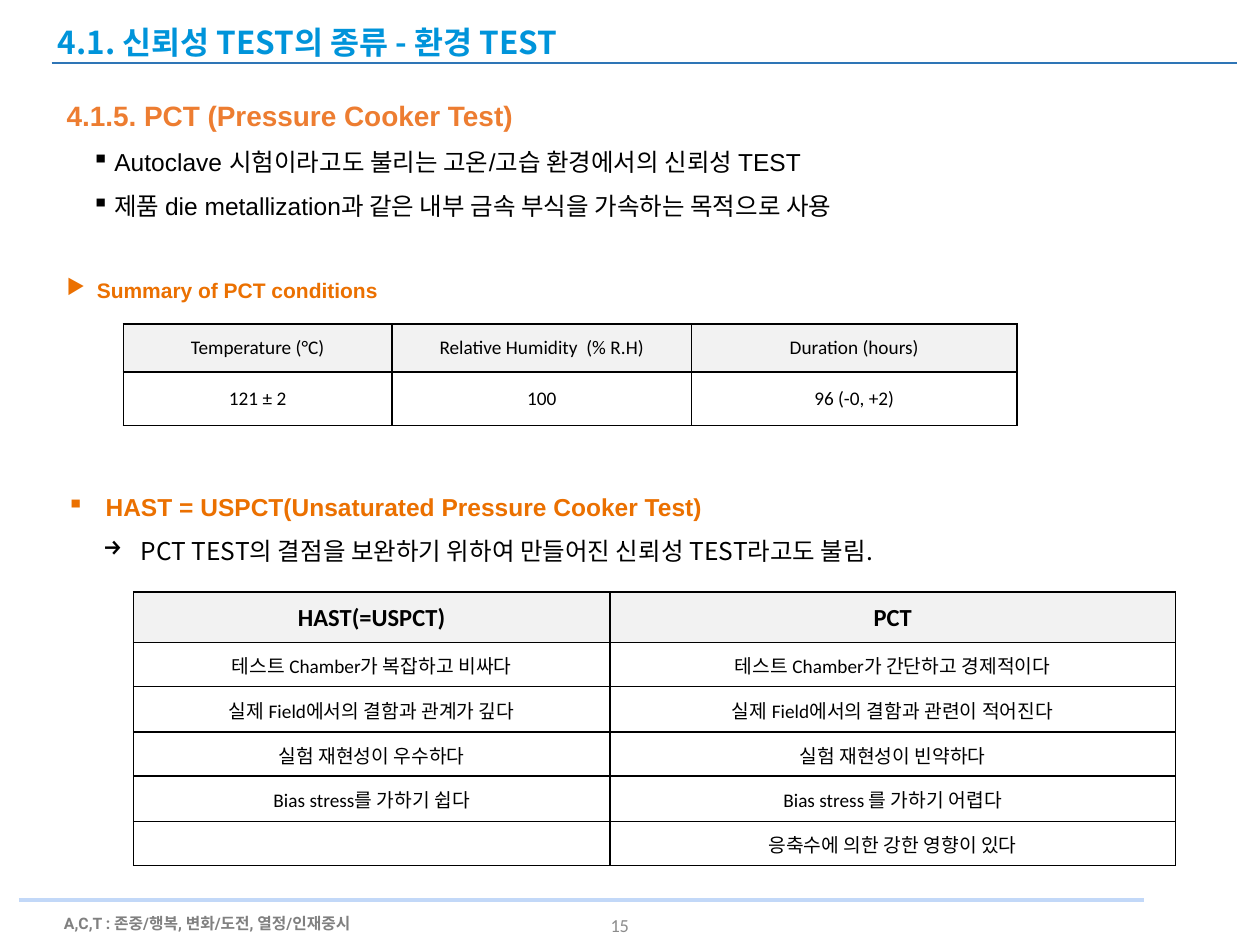
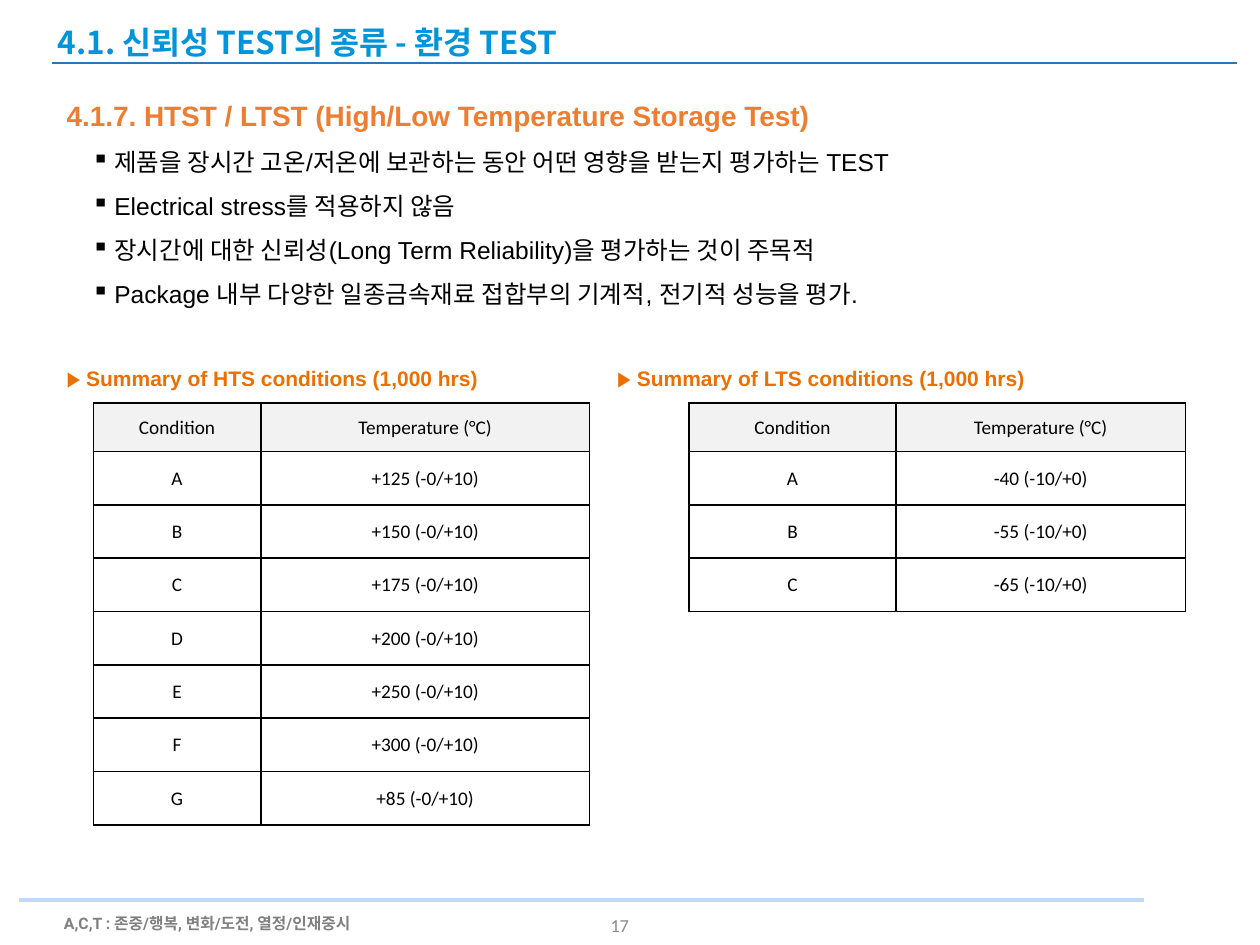
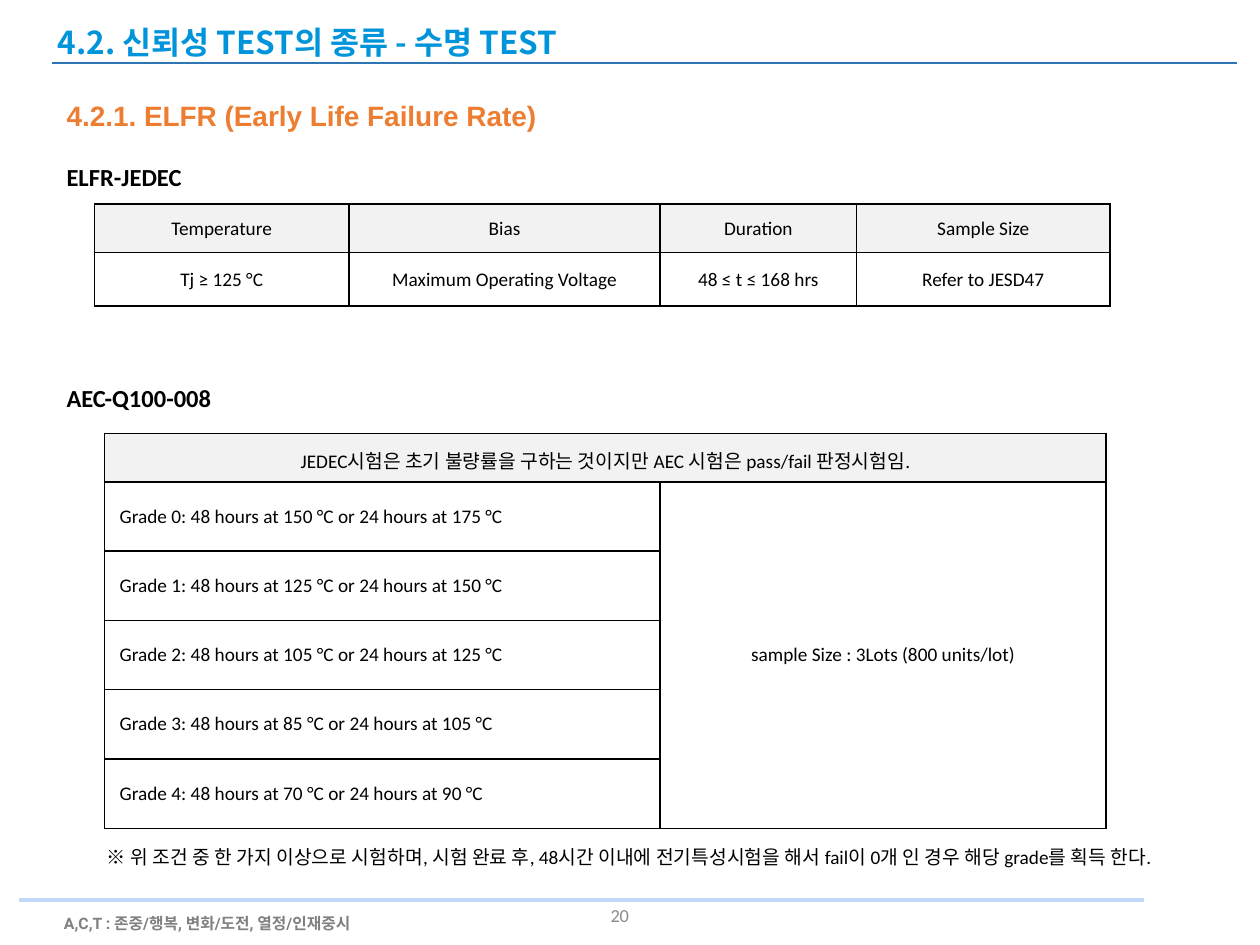
"""Builds three slides on semiconductor reliability tests."""
from dataclasses import dataclass

from lxml.etree import SubElement
from pptx import Presentation
from pptx.dml.color import RGBColor
from pptx.enum.shapes import MSO_CONNECTOR
from pptx.enum.text import MSO_ANCHOR, PP_ALIGN
from pptx.oxml.ns import qn
from pptx.slide import Slide
from pptx.table import _Cell
from pptx.text.text import _Paragraph
from pptx.util import Emu, Pt

EMU_PER_PX = 9144

BLACK = RGBColor(0x00, 0x00, 0x00)
WHITE = RGBColor(0xFF, 0xFF, 0xFF)
HEADER_GREY = RGBColor(0xF2, 0xF2, 0xF2)
TITLE_BLUE = RGBColor(0x00, 0x94, 0xDA)
RULE_BLUE = RGBColor(0x2E, 0x75, 0xB6)
BAND_BLUE = RGBColor(0xC2, 0xD8, 0xF8)
FOOTER_GREY = RGBColor(0x80, 0x80, 0x80)
NUMBER_GREY = RGBColor(0x8C, 0x8C, 0x8C)
HEADING_ORANGE = RGBColor(0xED, 0x7D, 0x31)
SUMMARY_ORANGE = RGBColor(0xEB, 0x70, 0x00)

SANS, TABLE_SANS, KOREAN_SANS = "Arial", "Calibri", "Noto Sans CJK KR"
FOOTER = "A,C,T : 존중/행복, 변화/도전, 열정/인재중시"


@dataclass(frozen=True)
class Style:
    """Font, paragraph spacing and bullet of a paragraph."""
    font: str
    size: float
    color: RGBColor = BLACK
    bold: bool = False
    spacing: float = 1.0
    align: PP_ALIGN = PP_ALIGN.LEFT
    bullet: str = ""
    margin: int = 0
    hanging: int = 0


@dataclass(frozen=True)
class TextBlock:
    """A text box with one style for each paragraph."""
    left: int
    top: int
    width: int
    height: int
    lines: tuple[tuple[str, Style], ...]
    anchor: MSO_ANCHOR = MSO_ANCHOR.TOP


TITLE = Style(KOREAN_SANS, 18, TITLE_BLUE, bold=True)
FOOTER_STYLE = Style("Roboto", 9, FOOTER_GREY, bold=True)
PAGE_NUMBER = Style(TABLE_SANS, 10.5, NUMBER_GREY, align=PP_ALIGN.RIGHT)
HEADING = Style(SANS, 16, HEADING_ORANGE, bold=True, spacing=1.5)
BULLET = Style(SANS, 14, spacing=1.5, bullet="▪", margin=38, hanging=18)
SUMMARY = Style(SANS, 12, SUMMARY_ORANGE, bold=True, spacing=1.5)
SUMMARY_BULLET = Style(SANS, 12, SUMMARY_ORANGE, bold=True, spacing=1.5,
                       bullet="▶", margin=24, hanging=24)
HAST = Style(SANS, 14, SUMMARY_ORANGE, bold=True, spacing=1.5,
             bullet="▪", margin=31, hanging=31)
HAST_DETAIL = Style(KOREAN_SANS, 14, spacing=1.5, bullet="→", margin=59, hanging=30)
STANDARD = Style(TABLE_SANS, 14, bold=True)
NOTE = Style(TABLE_SANS, 11)
CELL = Style(TABLE_SANS, 11, align=PP_ALIGN.CENTER)
BOLD_HEADER = Style(TABLE_SANS, 14, bold=True, align=PP_ALIGN.CENTER)

HEADER_INSETS = (3, 10, 3, 10)
BODY_INSETS = (12, 12, 12, 12)
TIGHT_INSETS = (1, 1, 1, 0)


@dataclass(frozen=True)
class Grid:
    """A ruled table with a grey header row."""
    left: int
    top: int
    columns: tuple[int, ...]
    heights: tuple[int, ...]
    rows: tuple[tuple[str, ...], ...]
    header: Style = CELL
    first_column: Style = CELL
    header_insets: tuple[int, ...] = HEADER_INSETS
    body_insets: tuple[int, ...] = BODY_INSETS
    merges: tuple[tuple[int, int, int, int], ...] = ()


@dataclass(frozen=True)
class Page:
    """Everything that differs between the slides."""
    title: str
    number: int
    heading: str
    bullets: tuple[str, ...]
    blocks: tuple[TextBlock, ...]
    grids: tuple[Grid, ...]
    number_top: int = 714


def px(length: int) -> Emu:
    """Turn px into EMU."""
    return Emu(length * EMU_PER_PX)


def one_line(left: int, top: int, width: int, height: int, text: str,
             style: Style) -> TextBlock:
    """Describe a text box holding a single paragraph."""
    return TextBlock(left, top, width, height, ((text, style),))


def write(para: _Paragraph, text: str, style: Style) -> None:
    """Fill a paragraph and apply its style."""
    if text:
        para.add_run().text = text
    para.alignment = style.align
    para.line_spacing = style.spacing
    if style.bullet:
        properties = para._p.get_or_add_pPr()
        properties.set("marL", str(px(style.margin)))
        properties.set("indent", str(-px(style.hanging)))
        SubElement(properties, qn("a:buChar")).set("char", style.bullet)
    para.font.name = style.font
    para.font.size = Pt(style.size)
    para.font.bold = style.bold
    para.font.color.rgb = style.color


def draw_text(page: Slide, block: TextBlock) -> None:
    """Draw a text box."""
    box = page.shapes.add_textbox(px(block.left), px(block.top),
                                  px(block.width), px(block.height))
    frame = box.text_frame
    frame.word_wrap = True
    frame.vertical_anchor = block.anchor
    for index, (text, style) in enumerate(block.lines):
        para = frame.add_paragraph() if index else frame.paragraphs[0]
        write(para, text, style)


def draw_rule(page: Slide, left: int, right: int, top: int, color: RGBColor,
              width: float) -> None:
    """Draw a horizontal line."""
    rule = page.shapes.add_connector(MSO_CONNECTOR.STRAIGHT, px(left), px(top),
                                     px(right), px(top))
    rule.line.color.rgb = color
    rule.line.width = Pt(width)
    SubElement(rule._element.spPr, qn("a:effectLst"))


def add_borders(cell: _Cell) -> None:
    """Rule all four sides of a cell in black."""
    properties = cell._tc.get_or_add_tcPr()
    for side in ("lnL", "lnR", "lnT", "lnB"):
        line = SubElement(properties, qn(f"a:{side}"), w=str(Pt(1)))
        fill = SubElement(line, qn("a:solidFill"))
        SubElement(fill, qn("a:srgbClr"), val=str(BLACK))


def draw_cell(cell: _Cell, text: str, style: Style, insets: tuple[int, ...],
              fill: RGBColor) -> None:
    """Write, rule and fill one cell."""
    add_borders(cell)
    cell.fill.solid()
    cell.fill.fore_color.rgb = fill
    cell.vertical_anchor = MSO_ANCHOR.MIDDLE
    (cell.margin_left, cell.margin_top,
     cell.margin_right, cell.margin_bottom) = map(px, insets)
    write(cell.text_frame.paragraphs[0], text, style)


def draw_grid(page: Slide, grid: Grid) -> None:
    """Draw a table."""
    table = page.shapes.add_table(
        len(grid.rows), len(grid.columns), px(grid.left), px(grid.top),
        px(sum(grid.columns)), px(sum(grid.heights))).table
    table.first_row = False
    table.horz_banding = False
    for column, width in zip(table.columns, grid.columns):
        column.width = px(width)
    for row, height in zip(table.rows, grid.heights):
        row.height = px(height)
    for row_index, texts in enumerate(grid.rows):
        for column_index, text in enumerate(texts):
            cell = table.cell(row_index, column_index)
            if row_index == 0:
                draw_cell(cell, text, grid.header, grid.header_insets, HEADER_GREY)
            else:
                style = CELL if column_index else grid.first_column
                draw_cell(cell, text, style, grid.body_insets, WHITE)
    for top, left, bottom, right in grid.merges:
        table.cell(top, left).merge(table.cell(bottom, right))


def draw_page(slide: Slide, page: Page) -> None:
    """Draw the shared frame and the content of a slide."""
    draw_rule(slide, 41, 982, 50, RULE_BLUE, 1)
    draw_rule(slide, 15, 908, 714, BAND_BLUE, 2.25)
    draw_text(slide, one_line(41, 720, 290, 25, FOOTER, FOOTER_STYLE))
    draw_text(slide, TextBlock(470, page.number_top, 39, 40,
                               ((str(page.number), PAGE_NUMBER),), MSO_ANCHOR.MIDDLE))
    lines = ((page.heading, HEADING), *((text, BULLET) for text in page.bullets))
    draw_text(slide, TextBlock(43, 60, 890, 10 + 36 * len(lines), lines))
    for block in page.blocks:
        draw_text(slide, block)
    for grid in page.grids:
        draw_grid(slide, grid)
    draw_text(slide, one_line(36, 13, 496, 40, page.title, TITLE))


def storage_grid(left: int, columns: tuple[int, ...],
                 temperatures: tuple[str, ...]) -> Grid:
    """Describe a table of lettered storage conditions."""
    return Grid(left, 320, columns, (37, *[41] * len(temperatures)),
                (("Condition", "Temperature (°C)"), *zip("ABCDEFG", temperatures)))


ENVIRONMENT_TITLE = "4.1. 신뢰성 TEST의 종류 - 환경 TEST"

PCT_PAGE = Page(
    ENVIRONMENT_TITLE, 15, "4.1.5. PCT (Pressure Cooker Test)",
    ("Autoclave 시험이라고도 불리는 고온/고습 환경에서의 신뢰성 TEST",
     "제품 die metallization과 같은 내부 금속 부식을 가속하는 목적으로 사용"),
    (one_line(43, 205, 890, 39, "Summary of PCT conditions", SUMMARY_BULLET),
     TextBlock(43, 374, 890, 80, (
         ("HAST = USPCT(Unsaturated Pressure Cooker Test)", HAST),
         ("PCT TEST의 결점을 보완하기 위하여 만들어진 신뢰성 TEST라고도 불림.",
          HAST_DETAIL)))),
    (Grid(98, 257, (213, 238, 258), (38, 41),
          (("Temperature (°C)", "Relative Humidity  (% R.H)", "Duration (hours)"),
           ("121 ± 2", "100", "96 (-0, +2)"))),
     Grid(106, 470, (378, 449), (40, 35, 36, 35, 36, 35),
          (("HAST(=USPCT)", "PCT"),
           ("테스트 Chamber가 복잡하고 비싸다", "테스트 Chamber가 간단하고 경제적이다"),
           ("실제 Field에서의 결함과 관계가 깊다", "실제 Field에서의 결함과 관련이 적어진다"),
           ("실험 재현성이 우수하다", "실험 재현성이 빈약하다"),
           ("Bias stress를 가하기 쉽다", "Bias stress 를 가하기 어렵다"),
           ("", "응축수에 의한 강한 영향이 있다")),
          header=BOLD_HEADER, header_insets=TIGHT_INSETS, body_insets=TIGHT_INSETS)))

STORAGE_PAGE = Page(
    ENVIRONMENT_TITLE, 17, "4.1.7. HTST / LTST (High/Low Temperature Storage Test)",
    ("제품을 장시간 고온/저온에 보관하는 동안 어떤 영향을 받는지 평가하는 TEST",
     "Electrical stress를 적용하지 않음",
     "장시간에 대한 신뢰성(Long Term Reliability)을 평가하는 것이 주목적",
     "Package 내부 다양한 일종금속재료 접합부의 기계적, 전기적 성능을 평가."),
    tuple(one_line(left, 275, 420, 39,
                   f"▶ Summary of {kind} conditions (1,000 hrs)", SUMMARY)
          for left, kind in ((43, "HTS"), (480, "LTS"))),
    (storage_grid(74, (133, 261), tuple(
        f"+{degrees} (-0/+10)" for degrees in (125, 150, 175, 200, 250, 300, 85))),
     storage_grid(547, (164, 230), tuple(
         f"-{degrees} (-10/+0)" for degrees in (40, 55, 65)))))

GRADE_TEMPERATURES = ((150, 175), (125, 150), (105, 125), (85, 105), (70, 90))
GRADE_ROWS = tuple(
    (f"Grade {grade}: 48 hours at {low} °C or 24 hours at {high} °C",
     "" if grade else "sample Size : 3Lots (800 units/lot)")
    for grade, (low, high) in enumerate(GRADE_TEMPERATURES))

ELFR_PAGE = Page(
    "4.2. 신뢰성 TEST의 종류 - 수명 TEST", 20, "4.2.1. ELFR (Early Life Failure Rate)", (),
    (one_line(43, 124, 890, 34, "ELFR-JEDEC", STANDARD),
     one_line(43, 299, 890, 34, "AEC-Q100-008", STANDARD),
     one_line(75, 666, 929, 29,
              "※ 위 조건 중 한 가지 이상으로 시험하며, 시험 완료 후, 48시간 이내에 "
              "전기특성시험을 해서 fail이 0개 인 경우 해당 grade를 획득 한다.", NOTE)),
    (Grid(75, 162, (202, 247, 156, 201), (37, 42),
          (("Temperature", "Bias", "Duration", "Sample Size"),
           ("Tj ≥ 125 °C", "Maximum Operating Voltage", "48 ≤ t ≤ 168 hrs",
            "Refer to JESD47"))),
     Grid(83, 344, (441, 354), (37, *[55] * len(GRADE_ROWS)),
          (("JEDEC시험은 초기 불량률을 구하는 것이지만 AEC 시험은 pass/fail 판정시험임.", ""),
           *GRADE_ROWS),
          first_column=NOTE, merges=((0, 0, 0, 1), (1, 1, len(GRADE_ROWS), 1)))),
    number_top=706)


def main() -> None:
    """Build and save the deck."""
    deck = Presentation()
    deck.slide_width, deck.slide_height = px(1000), px(750)
    for page in (PCT_PAGE, STORAGE_PAGE, ELFR_PAGE):
        draw_page(deck.slides.add_slide(deck.slide_layouts[6]), page)
    deck.save("out.pptx")


if __name__ == "__main__":
    main()
